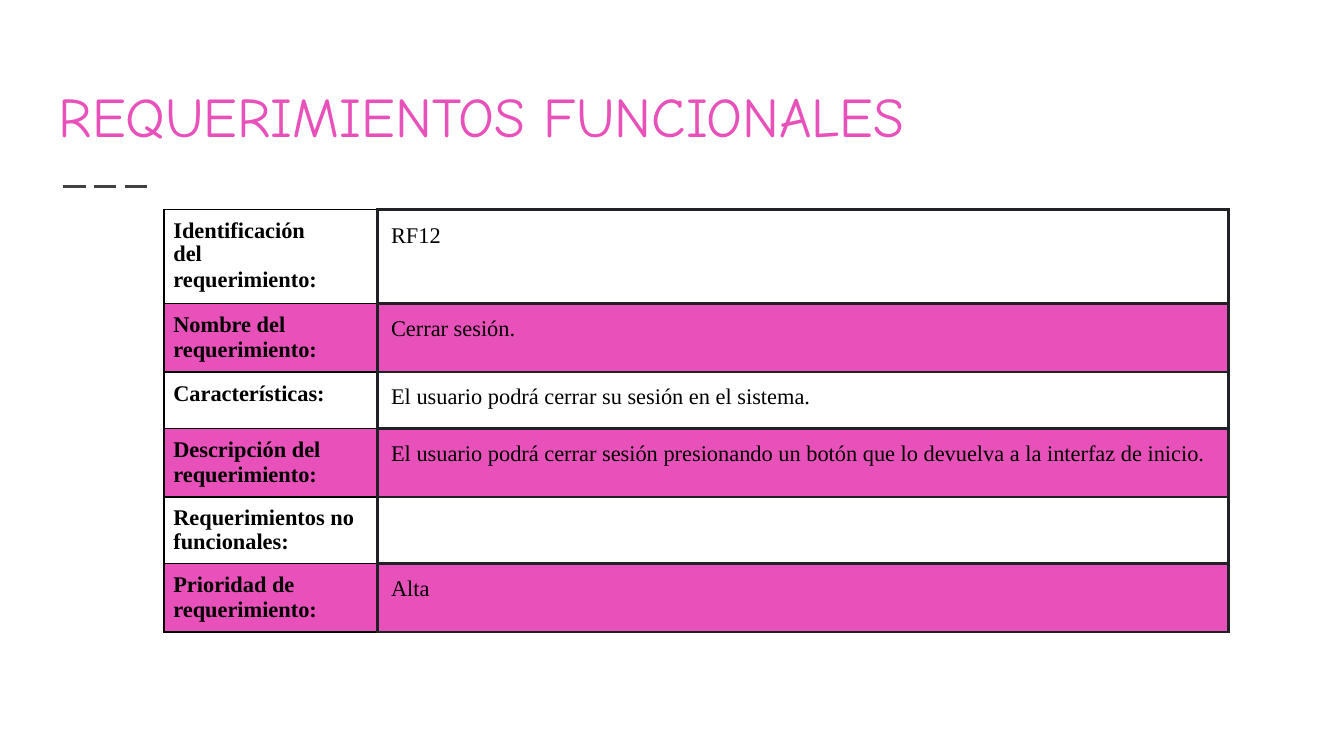
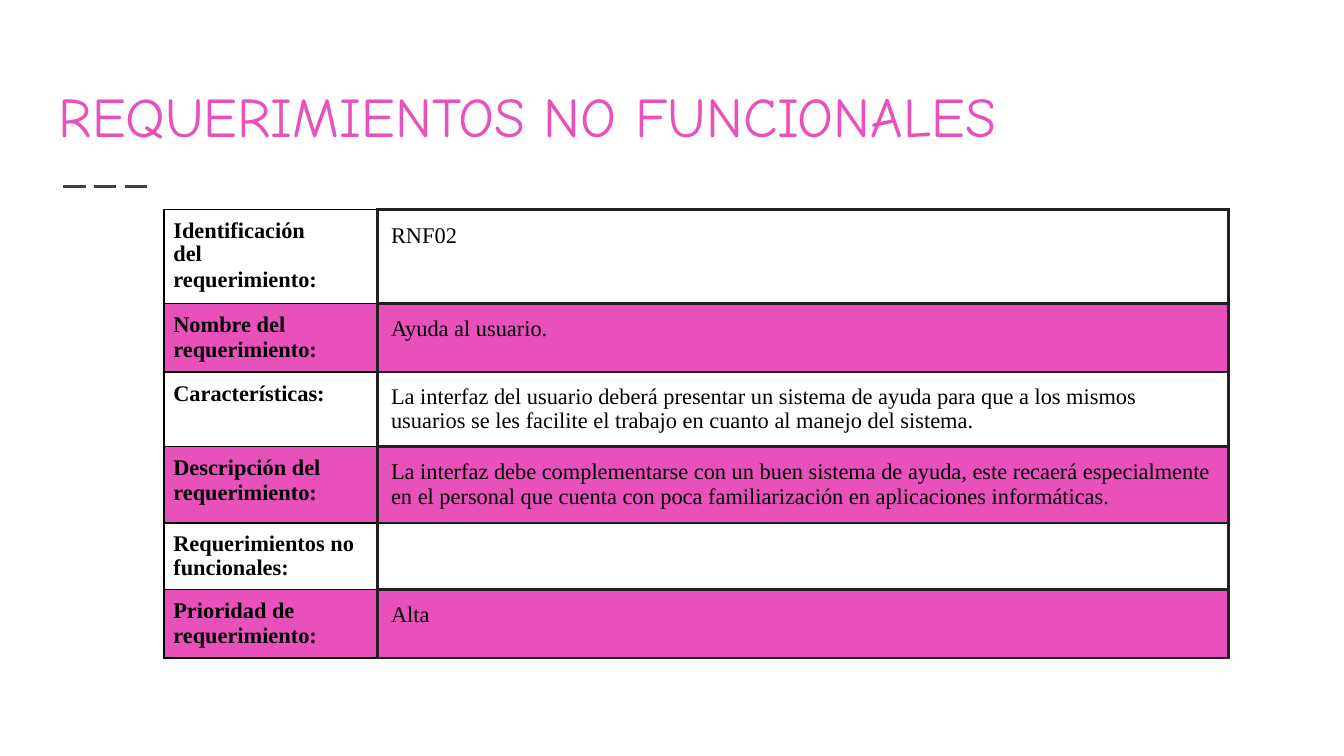
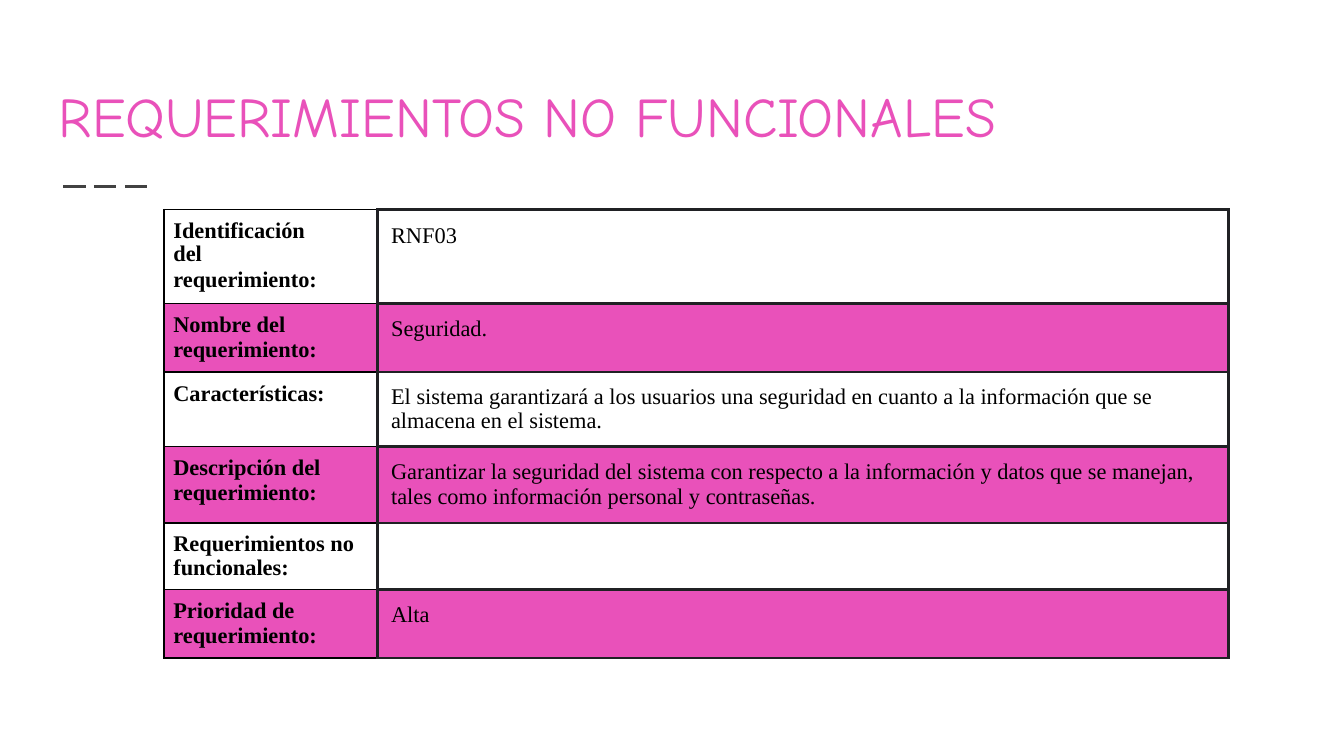
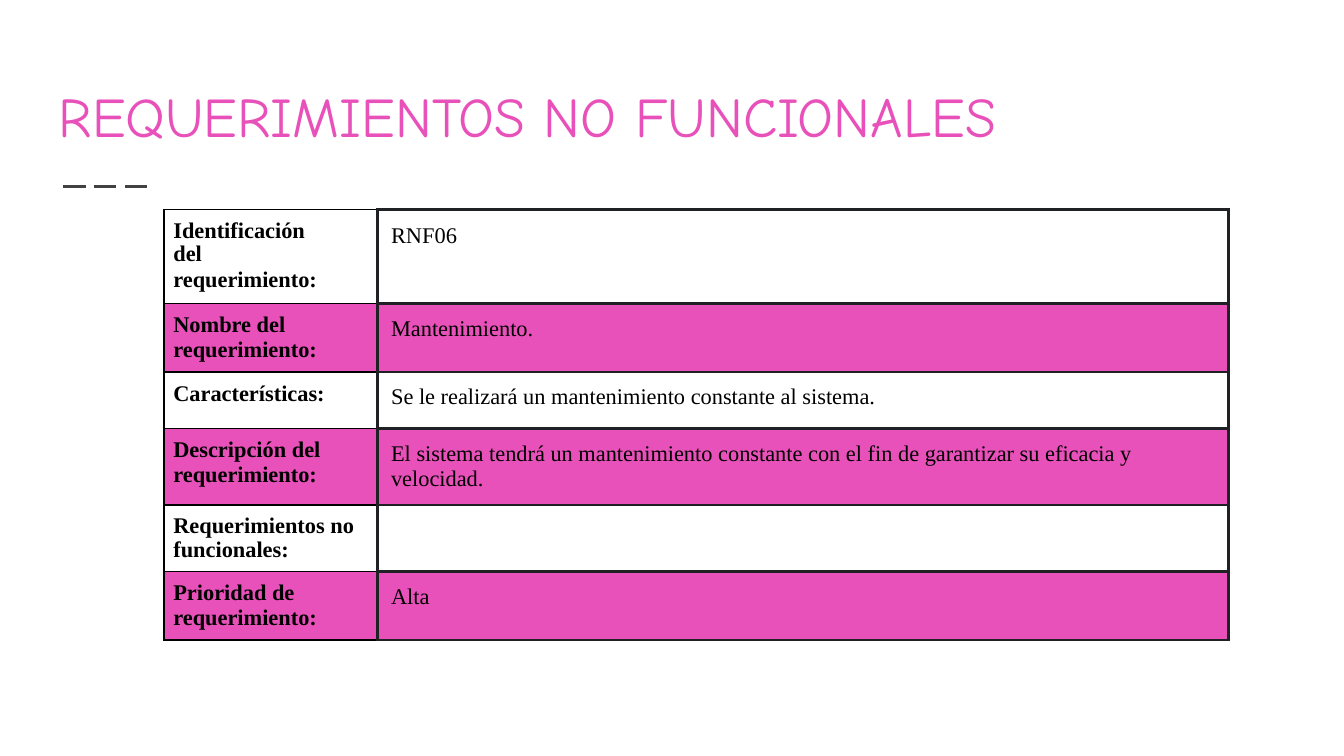
from lxml import etree
from pptx import Presentation
from pptx.dml.color import RGBColor
from pptx.enum.dml import MSO_LINE
from pptx.enum.shapes import MSO_CONNECTOR
from pptx.enum.text import MSO_ANCHOR
from pptx.oxml.ns import qn
from pptx.util import Inches, Pt

STRAIGHT = MSO_CONNECTOR.STRAIGHT
DASH = MSO_LINE.LONG_DASH
BOTTOM = MSO_ANCHOR.BOTTOM

# Shared look
COLORS = {"pink": "E951BA", "black": "000000", "edge": "202124", "rule": "424242"}
HEAD_FONT, BODY_FONT = "Comic Neue", "Times New Roman"
WIDE = Inches(10)
HIGH = WIDE * 9 // 16
COLS = (Inches(1.59), Inches(6.33))
ROW = Inches(0.42)
TIGHT = 0.96
THIN = ("black", 1)
THICK = ("edge", 1.5)
LABEL_EDGES = {"L": THIN, "R": THICK, "T": THIN, "B": THIN}
VALUE_EDGES = dict.fromkeys("LRTB", THICK)

# Each label is a list of paragraphs
LABELS = [
    ["Identificación del", "requerimiento:"],
    ["Nombre del", "requerimiento:"],
    ["Características:"],
    ["Descripción del requerimiento:"],
    ["Requerimientos no funcionales:"],
    ["Prioridad de", "requerimiento:"],
]
ID_ROW, TRAIT_ROW, EXTRA_ROW = 0, 2, 4

FUNC = "REQUERIMIENTOS FUNCIONALES"
NON_FUNC = "REQUERIMIENTOS NO FUNCIONALES"
SLIDES = [
    (FUNC, ["RF12", "Cerrar sesión.",
            "El usuario podrá cerrar su sesión en el sistema.",
            "El usuario podrá cerrar sesión presionando un botón que lo "
            "devuelva a la interfaz de inicio.", "", "Alta"]),
    (NON_FUNC, ["RNF02", "Ayuda al usuario.",
                "La interfaz del usuario deberá presentar un sistema de ayuda "
                "para que a los mismos usuarios se les facilite el trabajo en "
                "cuanto al manejo del sistema.",
                "La interfaz debe complementarse con un buen sistema de ayuda, "
                "este recaerá especialmente en el personal que cuenta con poca "
                "familiarización en aplicaciones informáticas.", "", "Alta"]),
    (NON_FUNC, ["RNF03", "Seguridad.",
                "El sistema garantizará a los usuarios una seguridad en cuanto "
                "a la información que se almacena en el sistema.",
                "Garantizar la seguridad del sistema con respecto a la "
                "información y datos que se manejan, tales como información "
                "personal y contraseñas.", "", "Alta"]),
    (NON_FUNC, ["RNF06", "Mantenimiento.",
                "Se le realizará un mantenimiento constante al sistema.",
                "El sistema tendrá un mantenimiento constante con el fin de "
                "garantizar su eficacia y velocidad.", "", "Alta"]),
]


def rgb(name):
    return RGBColor.from_string(COLORS[name])


def add_run(para, text, font, size, color, bold=False):
    run = para.add_run()
    run.text = text
    run.font.name, run.font.size, run.font.bold = font, Pt(size), bold
    run.font.color.rgb = rgb(color)


def set_pad(box, pad, foot):
    box.margin_left = box.margin_right = box.margin_top = Inches(pad)
    box.margin_bottom = Inches(foot)


def add_title(slide, text):
    box = slide.shapes.add_textbox(
        Inches(0.34), Inches(0.41), Inches(9.32), Inches(0.8))
    frame = box.text_frame
    frame.word_wrap = True
    frame.vertical_anchor = BOTTOM
    set_pad(frame, 0.1, 0.1)
    add_run(frame.paragraphs[0], text, HEAD_FONT, 30, "pink")


def add_rule(slide):
    y = Inches(1.39)
    rule = slide.shapes.add_connector(STRAIGHT, Inches(0.47), y, Inches(1.14), y)
    rule.line.color.rgb = rgb("rule")
    rule.line.width = Pt(1.5)
    rule.line.dash_style = DASH
    etree.SubElement(rule.element.spPr, qn("a:effectLst"))


def set_edges(cell, edges):
    props = cell._tc.get_or_add_tcPr()
    for side, (color, width) in edges.items():
        line = etree.SubElement(props, qn("a:ln" + side), w=str(Pt(width)))
        fill = etree.SubElement(line, qn("a:solidFill"))
        etree.SubElement(fill, qn("a:srgbClr"), val=COLORS[color])


def fill_cell(cell, texts, edges, pad, pink, bold=False):
    set_pad(cell, pad, pad - 0.03)
    set_edges(cell, edges)
    if pink:
        cell.fill.solid()
        cell.fill.fore_color.rgb = rgb("pink")
    else:
        cell.fill.background()
    frame = cell.text_frame
    for i, text in enumerate(texts):
        para = frame.add_paragraph() if i else frame.paragraphs[0]
        add_run(para, text, BODY_FONT, 12, "black", bold)
    return frame.paragraphs


def add_grid(slide, values):
    frame = slide.shapes.add_table(
        len(LABELS), len(COLS), Inches(1.22), Inches(1.56),
        sum(COLS), ROW * len(LABELS))
    table = frame.table
    table.first_row = table.horz_banding = False
    for col, width in zip(table.columns, COLS):
        col.width = width
    for i, (label, value) in enumerate(zip(LABELS, values)):
        table.rows[i].height = ROW
        pink = i % 2 == 1
        names = fill_cell(table.cell(i, 0), label, LABEL_EDGES, 0.07, pink, True)
        notes = fill_cell(table.cell(i, 1), [value], VALUE_EDGES, 0.1, pink)
        if i in (ID_ROW, EXTRA_ROW):
            names[0].line_spacing = TIGHT
        if i == ID_ROW:
            # A right indent sends the second word to its own line
            names[0]._p.get_or_add_pPr().set("marR", str(Inches(0.35)))
            names[1].space_before = Pt(0.3)
        if i == TRAIT_ROW:
            notes[0].line_spacing = TIGHT


def main():
    deck = Presentation()
    deck.slide_width, deck.slide_height = WIDE, HIGH
    blank = deck.slide_layouts[6]
    for title, values in SLIDES:
        slide = deck.slides.add_slide(blank)
        add_rule(slide)
        add_title(slide, title)
        add_grid(slide, values)
    deck.save("out.pptx")


if __name__ == "__main__":
    main()
